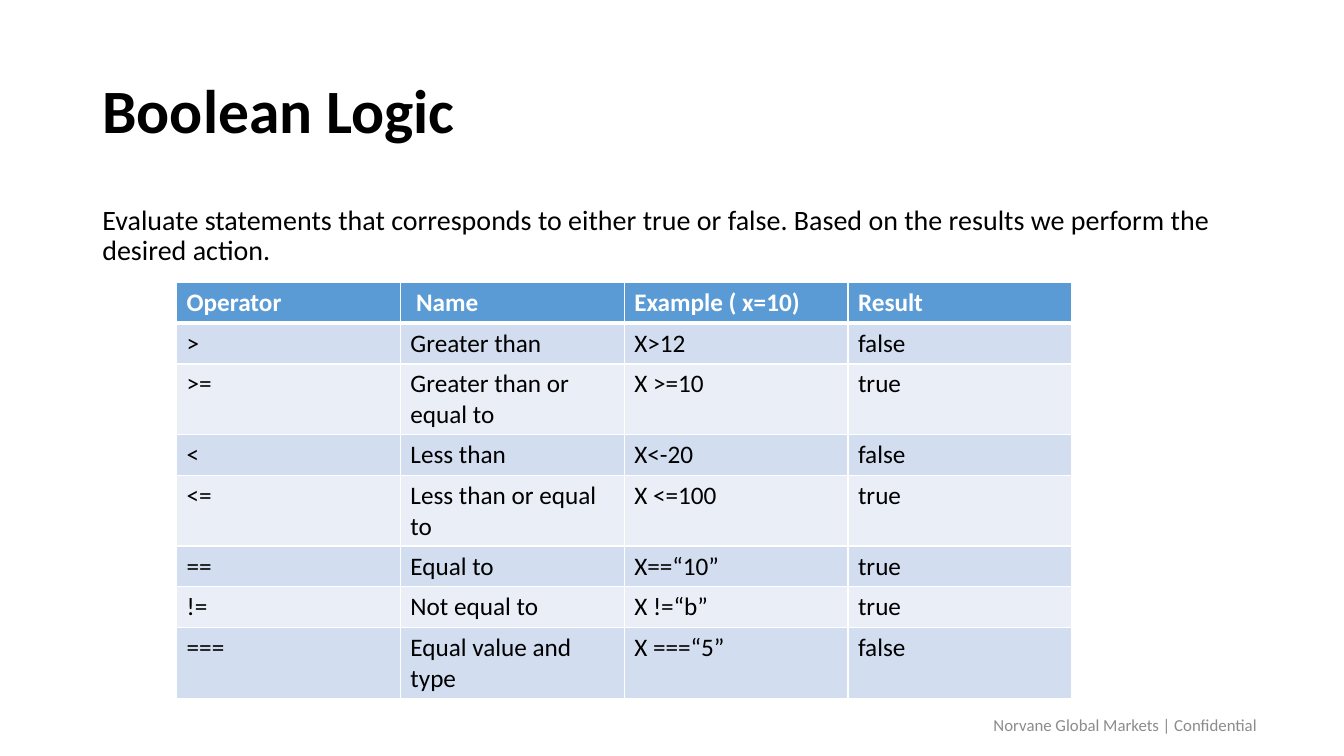
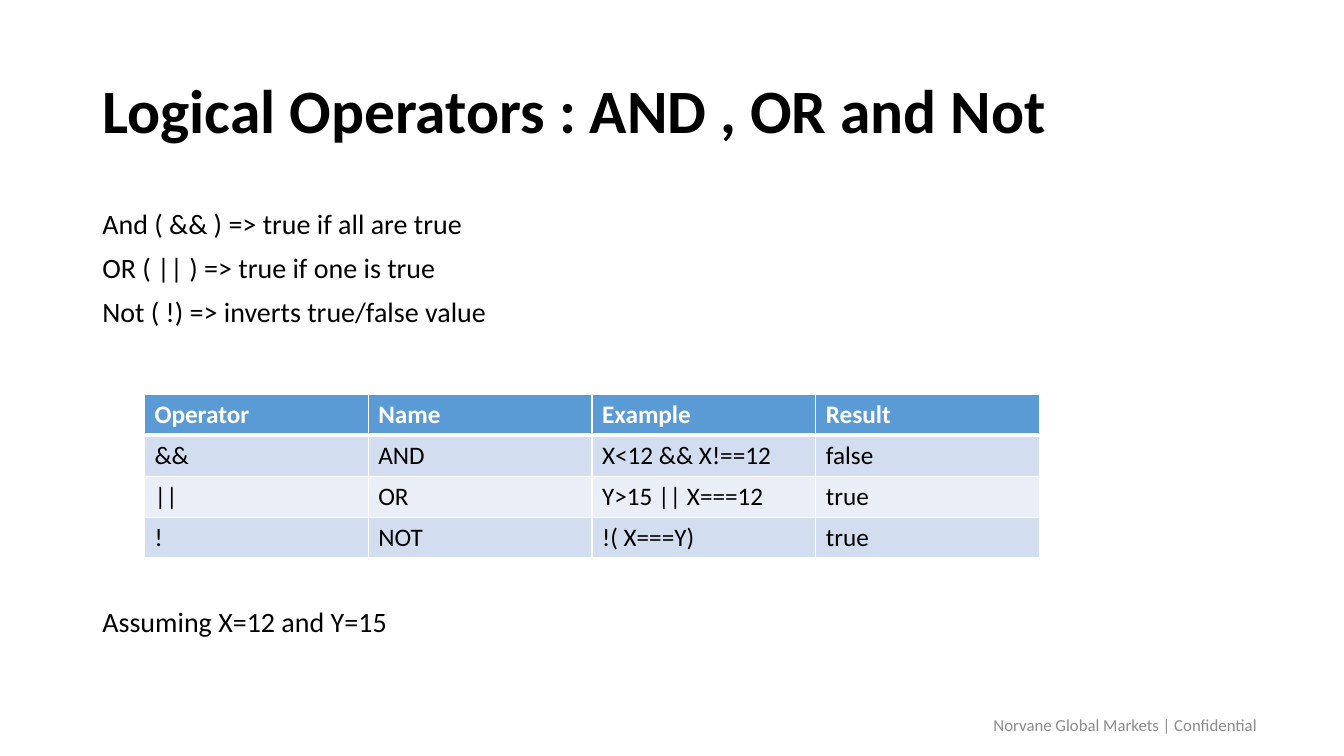
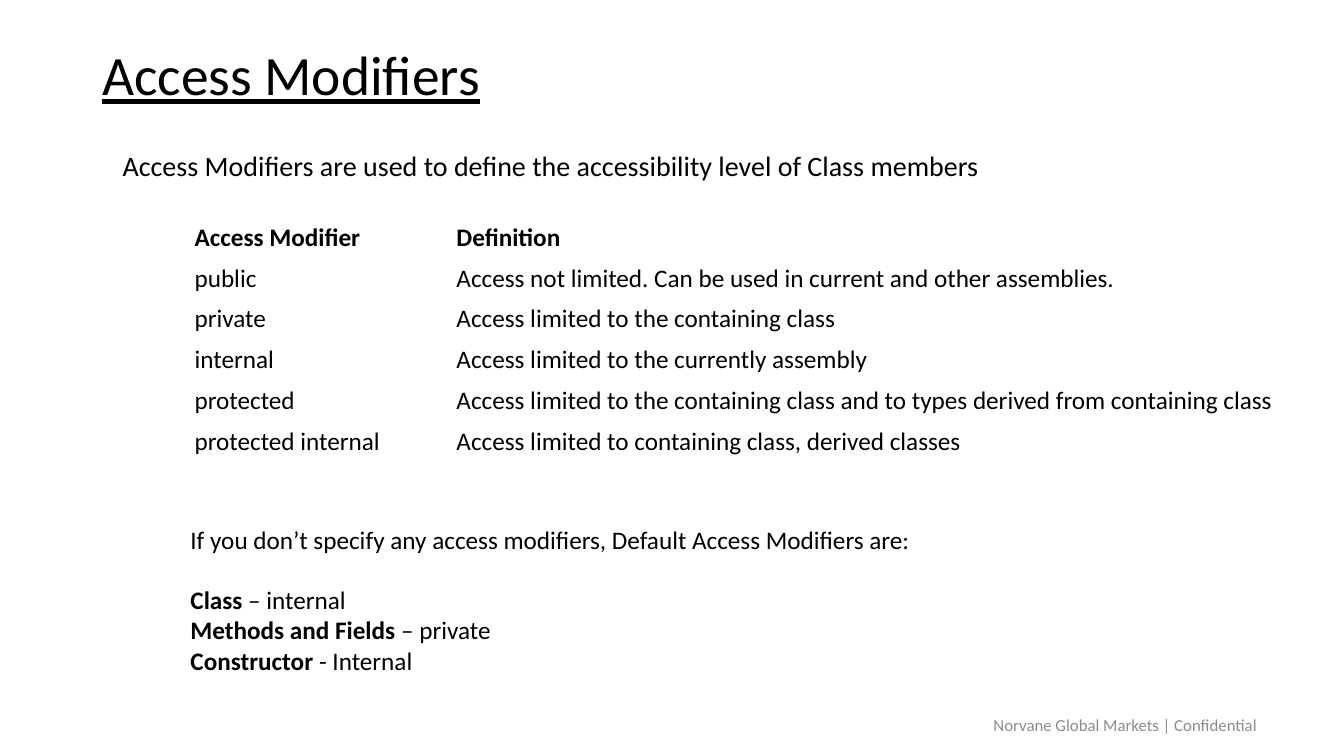
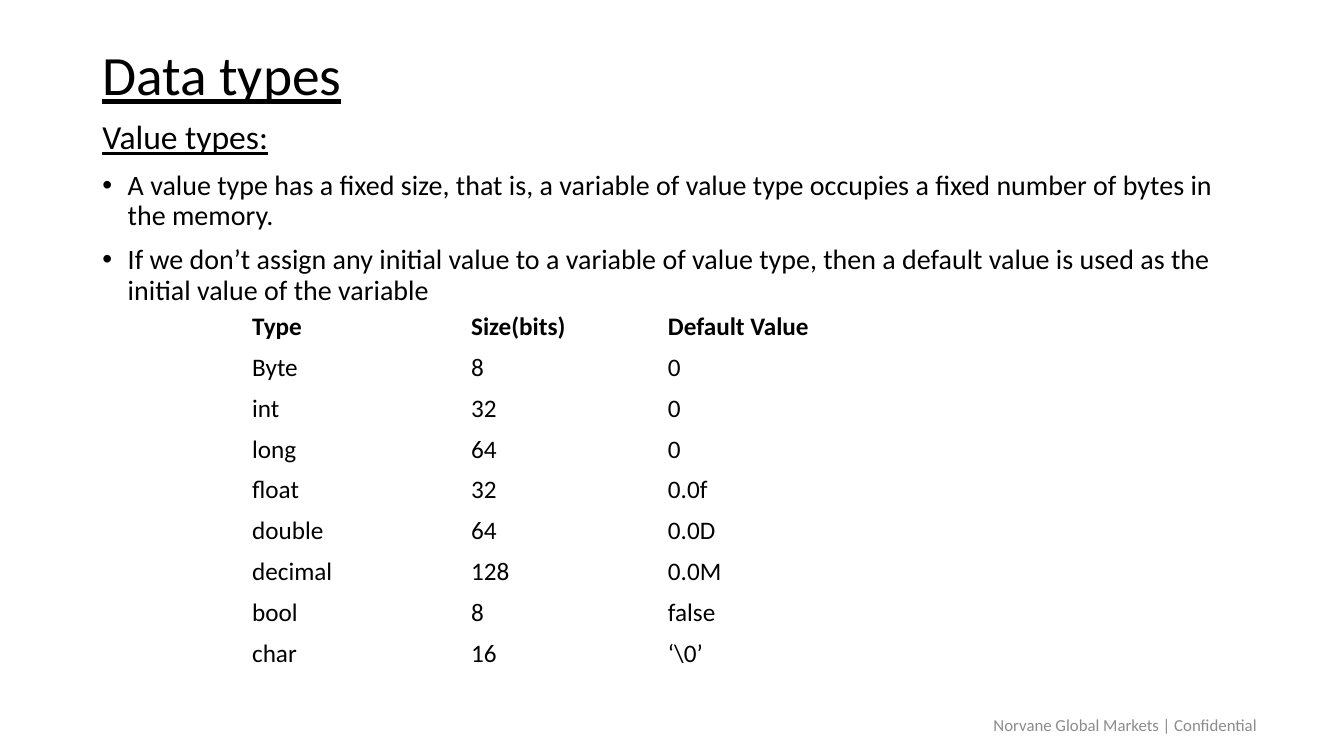
"""Build four slides on logic operators, access modifiers and data types."""
from itertools import product

from lxml.etree import SubElement
from pptx import Presentation
from pptx.dml.color import RGBColor
from pptx.enum.text import MSO_ANCHOR as Anchor, PP_ALIGN as Align
from pptx.oxml.ns import qn
from pptx.util import Cm, Pt

COLORS = {
    "text": "000000",
    "footer": "8C8C8C",
    "header": "5B9BD5",
    "header_text": "FFFFFF",
    "grid": "FFFFFF",
    "band_dark": "D2DEEF",
    "band_light": "EAEFF7",
}
FONT = "Calibri"
FOOTER = "Norvane Global Markets | Confidential"
BODY_LEFT, BODY_WIDTH = 2.33, 29.21
ROW_HEIGHT = 1.03
OPERATOR_COLUMNS = [5.64] * 4

COMPARISONS = [
    ("Operator", " Name", "Example ( x=10)", "Result"),
    (">", "Greater than", "X>12", "false"),
    (">=", "Greater than or equal to", "X >=10", "true"),
    ("<", "Less than", "X<-20", "false"),
    ("<=", "Less than or equal to", "X <=100", "true"),
    ("==", "Equal to", "X==“10”", "true"),
    ("!=", "Not equal to", "X !=“b”", "true"),
    ("===", "Equal value and type", "X ===“5”", "false"),
]
LOGICAL_OPERATORS = [
    ("Operator", "Name", "Example", "Result"),
    ("&&", "AND", "X<12 && X!==12", "false"),
    ("||", "OR", "Y>15 || X===12", "true"),
    ("!", "NOT", "!( X===Y)", "true"),
]
MODIFIERS = [
    ("Access Modifier", "Definition"),
    ("public", "Access not limited. Can be used in current and other assemblies."),
    ("private", "Access limited to the containing class"),
    ("internal", "Access limited to the currently assembly"),
    ("protected", "Access limited to the containing class and to types derived from containing class"),
    ("protected internal", "Access limited to containing class, derived classes"),
]
VALUE_TYPES = [
    ("Type", "Size(bits)", "Default Value"),
    ("Byte", "8", "0"),
    ("int", "32", "0"),
    ("long", "64", "0"),
    ("float", "32", "0.0f"),
    ("double", "64", "0.0D"),
    ("decimal", "128", "0.0M"),
    ("bool", "8", "false"),
    ("char", "16", "‘\\0’"),
]


def rgb(name):
    return RGBColor.from_string(COLORS[name])


def style(run, size, color="text", bold=False, underline=False):
    font = run.font
    font.name, font.size = FONT, Pt(size)
    font.bold, font.underline = bold, underline
    font.color.rgb = rgb(color)


def add_text(slide, box, lines, size, anchor=Anchor.TOP, align=Align.LEFT,
             spacing=1.0, before=0, **look):
    frame = slide.shapes.add_textbox(*map(Cm, box)).text_frame
    frame.word_wrap = True
    frame.vertical_anchor = anchor
    frame.text = "\n".join(lines)
    for paragraph in frame.paragraphs:
        paragraph.alignment = align
        paragraph.line_spacing = spacing
        paragraph.space_before = Pt(before)
        for run in paragraph.runs:
            style(run, size, **look)
    return frame.paragraphs


def add_body(slide, top, height, lines):
    box = (BODY_LEFT, top, BODY_WIDTH, height)
    return add_text(slide, box, lines, 20, spacing=0.9, before=10)


def add_bullet(paragraph):
    properties = paragraph._p.get_or_add_pPr()
    indent = Cm(0.64)
    properties.set("marL", str(indent))
    properties.set("indent", str(-indent))
    SubElement(properties, qn("a:buFont"), typeface="Arial")
    SubElement(properties, qn("a:buChar"), char="•")


def add_border(cell, side, width):
    line = SubElement(cell._tc.get_or_add_tcPr(), qn(f"a:ln{side}"), w=str(Pt(width)))
    if width:
        fill = SubElement(line, qn("a:solidFill"))
        SubElement(fill, qn("a:srgbClr"), val=COLORS["grid"])
    else:
        SubElement(line, qn("a:noFill"))


def fill_cell(cell, row, banded):
    widths = {"L": 1, "R": 1, "T": 3 if row == 1 else 1, "B": 3 if row == 0 else 1}
    for side, width in widths.items():
        add_border(cell, side, width if banded else 0)
    if banded:
        cell.fill.solid()
        band = "band_dark" if row % 2 else "band_light"
        cell.fill.fore_color.rgb = rgb(band if row else "header")
    else:
        cell.fill.background()


def add_grid(slide, left, top, columns, rows, banded=False):
    size = map(Cm, (left, top, sum(columns), ROW_HEIGHT * len(rows)))
    table = slide.shapes.add_table(len(rows), len(columns), *size).table
    table.first_row = table.horz_banding = banded
    for column, width in zip(table.columns, columns):
        column.width = Cm(width)
    for row, column in product(range(len(rows)), range(len(columns))):
        cell = table.cell(row, column)
        cell.text = rows[row][column]
        color = "header_text" if banded and row == 0 else "text"
        style(cell.text_frame.paragraphs[0].runs[0], 18, color, bold=row == 0)
        fill_cell(cell, row, banded)


def add_slide(deck, title, size=44, height=3.68, **look):
    slide = deck.slides.add_slide(deck.slide_layouts[6])
    add_text(slide, (BODY_LEFT, 1.01, BODY_WIDTH, height), [title], size,
             anchor=Anchor.MIDDLE, spacing=0.9, **look)
    add_text(slide, (24.74, 17.75, 7.24, 1.01), [FOOTER], 12,
             anchor=Anchor.MIDDLE, align=Align.CENTER, color="footer")
    return slide


def add_topic_slide(deck, title):
    return add_slide(deck, title, bold=True)


def add_reference_slide(deck, title):
    return add_slide(deck, title, size=39.6, height=1.9, underline=True)


def build_boolean_logic(deck):
    slide = add_topic_slide(deck, "Boolean Logic")
    add_body(slide, 5.07, 1.9, [
        "Evaluate statements that corresponds to either true or false. "
        "Based on the results we perform the desired action."])
    add_grid(slide, 4.45, 7.11, OPERATOR_COLUMNS, COMPARISONS, banded=True)


def build_logical_operators(deck):
    slide = add_topic_slide(deck, "Logical Operators : AND , OR and Not")
    add_body(slide, 5.17, 3.6, [
        "And ( && ) => true if all are true",
        "OR ( || ) => true if one is true",
        "Not ( !) => inverts true/false value"])
    add_grid(slide, 3.64, 9.94, OPERATOR_COLUMNS, LOGICAL_OPERATORS, banded=True)
    add_body(slide, 15.2, 1.1, ["Assuming X=12 and Y=15"])


def build_access_modifiers(deck):
    slide = add_reference_slide(deck, "Access Modifiers")
    add_text(slide, (2.84, 3.63, 27.23, 1.12), [
        "Access Modifiers are used to define the accessibility level of Class members"], 20)
    add_grid(slide, 4.65, 5.47, [6.6, 21.48], MODIFIERS)
    defaults = [("Class", " – internal"), ("Methods and Fields ", "– private"),
                ("Constructor", " - Internal")]
    intro = "If you don’t specify any access modifiers, Default Access Modifiers are:"
    lines = [intro] + [member for member, _ in defaults]
    paragraphs = add_text(slide, (4.55, 13.08, 25.93, 4.11), lines, 18)
    for paragraph, (_, access) in zip(paragraphs[1:], defaults):
        paragraph.runs[0].font.bold = True
        level = paragraph.add_run()
        level.text = access
        style(level, 18)
    paragraphs[1].space_before = Pt(21.5)


def build_data_types(deck):
    slide = add_reference_slide(deck, "Data types")
    heading, *facts = add_body(slide, 2.92, 4.9, [
        "Value types:",
        "A value type has a fixed size, that is, a variable of value type "
        "occupies a fixed number of bytes in the memory.",
        "If we don’t assign any initial value to a variable of value type, "
        "then a default value is used as the initial value of the variable"])
    style(heading.runs[0], 24, underline=True)
    for fact in facts:
        add_bullet(fact)
    add_grid(slide, 6.1, 7.72, [5.52, 4.96, 8.15], VALUE_TYPES)


def main():
    deck = Presentation()
    deck.slide_width, deck.slide_height = Cm(33.87), Cm(19.05)
    build_boolean_logic(deck)
    build_logical_operators(deck)
    build_access_modifiers(deck)
    build_data_types(deck)
    deck.save("out.pptx")


if __name__ == "__main__":
    main()
